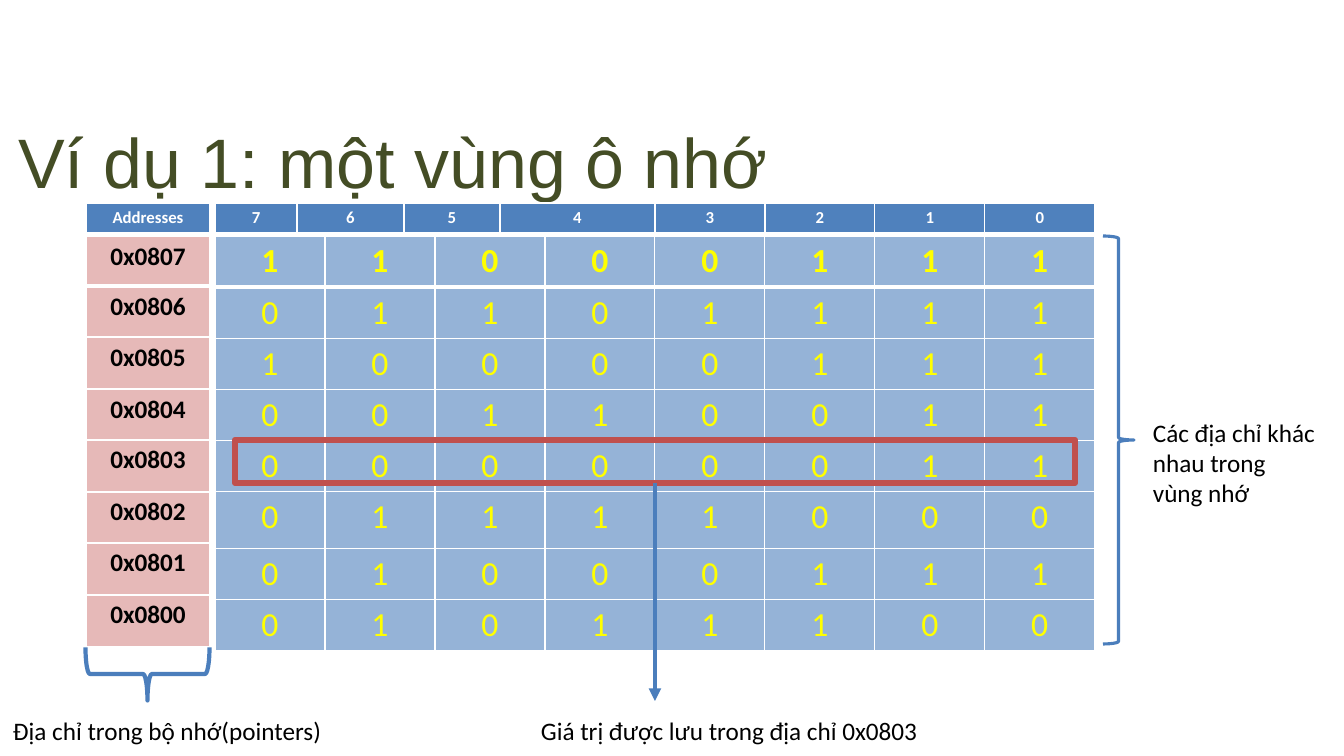
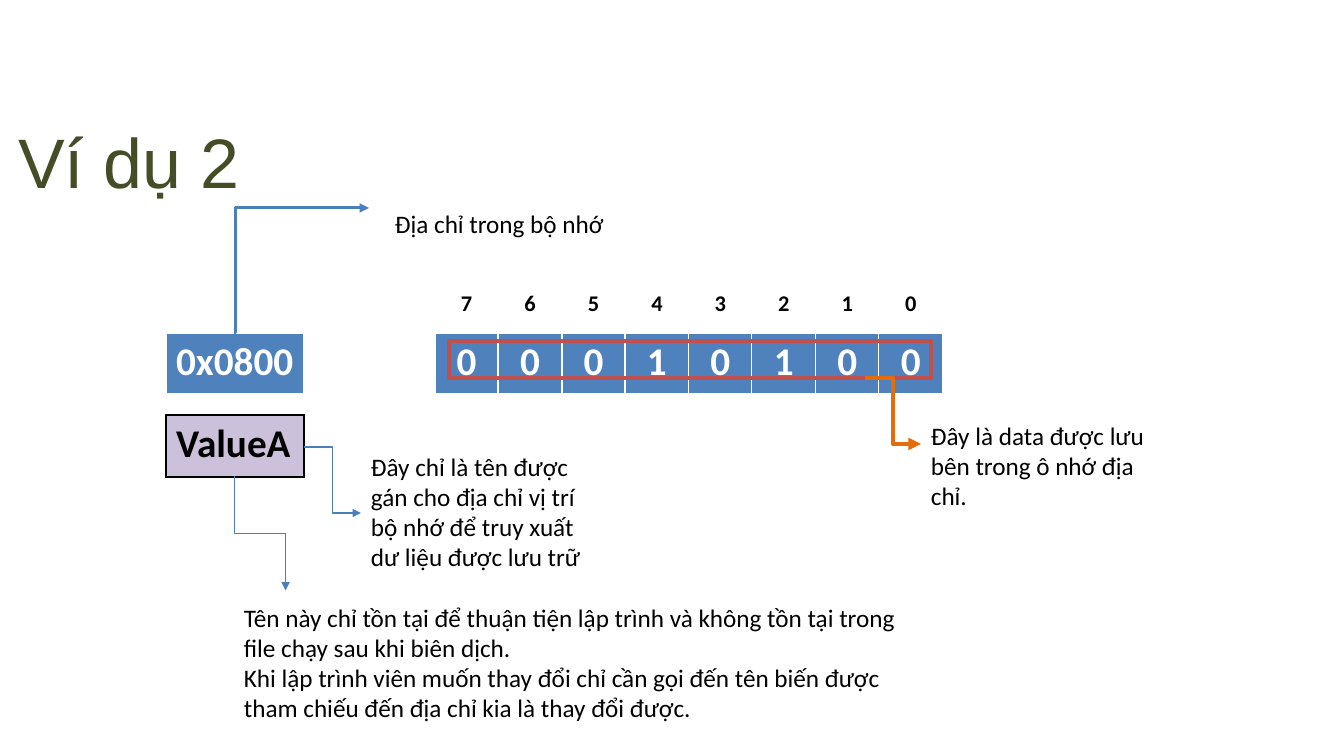
"""Build two slides on memory cells, their addresses and their values."""
from lxml.etree import SubElement
from pptx import Presentation
from pptx.dml.color import RGBColor
from pptx.enum.shapes import MSO_CONNECTOR, MSO_SHAPE
from pptx.enum.text import MSO_ANCHOR, MSO_AUTO_SIZE, PP_ALIGN
from pptx.oxml.ns import qn
from pptx.text.text import Font
from pptx.util import Emu, Pt

SLIDE_WIDTH, SLIDE_HEIGHT = 1344, 756
SCALE = 12192000 / SLIDE_WIDTH
BLUE, PALE_BLUE, LINE_BLUE = "4F81BD", "95B3D7", "4B7EBC"
PINK, LILAC, RED, ORANGE = "E6B9B8", "CCC1DA", "C0504D", "E46C0A"
WHITE, BLACK, YELLOW, OLIVE = "FFFFFF", "000000", "FFFF00", "444D25"
BODY_FONT, TITLE_FONT = "Calibri", "Arial"
LEFT, CENTER = PP_ALIGN.LEFT, PP_ALIGN.CENTER


def px(*lengths):
    return [Emu(round(length * SCALE)) for length in lengths]


def set_font(font, name, size, color, bold=False):
    font.name, font.size, font.bold = name, Pt(size), bold
    font.color.rgb = RGBColor.from_string(color)


deck = Presentation()
deck.slide_width, deck.slide_height = px(SLIDE_WIDTH, SLIDE_HEIGHT)
layout = deck.slide_layouts.get_by_name("Title Only")

title = layout.placeholders[0]
title.left, title.top, title.width, title.height = px(18, 116, 1326, 87)
frame = title.text_frame
frame.margin_left = frame.margin_right = frame.margin_top = frame.margin_bottom = 0
frame.vertical_anchor = MSO_ANCHOR.BOTTOM
frame.auto_size = MSO_AUTO_SIZE.NONE
title_style = deck.slide_master.element.find(f"{qn('p:txStyles')}/{qn('p:titleStyle')}/{qn('a:lvl1pPr')}")
title_style.set("algn", "l")
set_font(Font(title_style.find(qn("a:defRPr"))), TITLE_FONT, 50, OLIVE)

pages = []
for heading in ["Ví dụ 1: một vùng ô nhớ", "Ví dụ 2"]:
    page = deck.slides.add_slide(layout)
    page.shapes.title.text = heading
    pages.append(page)
memory_page, variable_page = pages

memory = ["11000111", "01101111", "10000111", "00110011",
          "00000011", "01111000", "01000111", "01011100"]
addresses = [[f"0x{0x0807 - step:04X}"] for step in range(len(memory))]
bit_numbers = ["76543210"]
bit_widths = [63, 64] * 4

tables = [
    (memory_page, 215, 236, [110] * 8, [51, 50, 51, 50, 51, 57, 51, 50],
     memory, PALE_BLUE, YELLOW, 24, False, CENTER, WHITE),
    (memory_page, 86, 236, [124], [50] + [51, 52] * 3 + [52],
     addresses, PINK, BLACK, 18, True, CENTER, WHITE),
    (memory_page, 215, 203, [82, 107, 96, 155] + [110] * 4, [30],
     bit_numbers, BLUE, WHITE, 12, True, CENTER, WHITE),
    (memory_page, 86, 203, [124], [30],
     [["Addresses"]], BLUE, WHITE, 12, True, CENTER, WHITE),
    (variable_page, 435, 285, bit_widths, [37],
     bit_numbers, WHITE, BLACK, 16, True, CENTER, WHITE),
    (variable_page, 435, 333, bit_widths, [62],
     ["00010100"], BLUE, WHITE, 28, True, CENTER, WHITE),
    (variable_page, 166, 333, [138], [62],
     [["0x0800"]], BLUE, WHITE, 28, True, LEFT, WHITE),
    (variable_page, 166, 415, [138], [62],
     [["ValueA"]], LILAC, BLACK, 28, True, LEFT, BLACK),
]
for page, left, top, widths, heights, rows, fill, color, size, bold, align, border in tables:
    table = page.shapes.add_table(len(heights), len(widths),
                                  *px(left, top, sum(widths), sum(heights))).table
    table.first_row = table.horz_banding = False
    for column, width in zip(table.columns, px(*widths)):
        column.width = width
    for row, height in zip(table.rows, px(*heights)):
        row.height = height
    for row_index, row in enumerate(rows):
        for column_index, text in enumerate(row):
            cell = table.cell(row_index, column_index)
            para = cell.text_frame.paragraphs[0]
            para.text, para.alignment = text, align
            set_font(para.font, BODY_FONT, size, color, bold or row_index == 0)
            properties = cell._tc.get_or_add_tcPr()
            for side in "LRTB":
                heavy = border == WHITE and (row_index, side) in [(0, "B"), (1, "T")]
                edge = SubElement(properties, qn(f"a:ln{side}"), w=str(Pt(3 if heavy else 1)))
                SubElement(SubElement(edge, qn("a:solidFill")), qn("a:srgbClr"), val=border)
            cell.fill.solid()
            cell.fill.fore_color.rgb = RGBColor.from_string(fill)

outlines = [
    (memory_page, MSO_SHAPE.LEFT_BRACE, (121, 612, 53, 124), 270, LINE_BLUE, 3),
    (memory_page, MSO_SHAPE.RECTANGLE, (235, 440, 840, 43), 0, RED, 4.5),
    (memory_page, MSO_SHAPE.RIGHT_BRACE, (1103, 236, 31, 408), 0, LINE_BLUE, 2.25),
    (variable_page, MSO_SHAPE.RECTANGLE, (449, 341, 482, 37), 0, RED, 3),
]
for page, kind, place, rotation, color, weight in outlines:
    outline = page.shapes.add_shape(kind, *px(*place))
    outline.rotation = rotation
    outline.shadow.inherit = False
    outline.fill.background()
    outline.line.color.rgb = RGBColor.from_string(color)
    outline.line.width = Pt(weight)

STRAIGHT, ELBOW = MSO_CONNECTOR.STRAIGHT, MSO_CONNECTOR.ELBOW
arrows = [
    (memory_page, STRAIGHT, (655, 483, 655, 701), 0, None, LINE_BLUE, 3),
    (variable_page, ELBOW, (234, 333, 369, 208), 0, 1400, LINE_BLUE, 2.25),
    (variable_page, ELBOW, (304, 447, 361, 513), 0, 50000, LINE_BLUE, 0.75),
    (variable_page, ELBOW, (317, 508, 203, 559), 270, 50000, LINE_BLUE, 0.75),
    (variable_page, ELBOW, (865, 378, 921, 444), 0, 50000, ORANGE, 3),
]
for page, kind, ends, rotation, bend, color, weight in arrows:
    arrow = page.shapes.add_connector(kind, *px(*ends))
    arrow.line.color.rgb = RGBColor.from_string(color)
    arrow.line.width = Pt(weight)
    properties = arrow.element.spPr
    SubElement(properties.find(qn("a:ln")), qn("a:tailEnd"), type="triangle")
    SubElement(properties, qn("a:effectLst"))
    if rotation:
        properties.find(qn("a:xfrm")).set("rot", str(rotation * 60000))
    if bend:
        guides = properties.find(f"{qn('a:prstGeom')}/{qn('a:avLst')}")
        SubElement(guides, qn("a:gd"), name="adj1", fmla=f"val {bend}")

labels = [
    (memory_page, (3, 710, 340, 40), ["Địa chỉ trong bộ nhớ(pointers)"]),
    (memory_page, (531, 710, 410, 40), ["Giá trị được lưu trong địa chỉ 0x0803"]),
    (memory_page, (1143, 412, 183, 102), ["Các địa chỉ khác nhau trong vùng nhớ"]),
    (variable_page, (361, 446, 250, 132),
     ["Đây chỉ là tên được gán cho địa chỉ vị trí bộ nhớ để truy xuất dư liệu được lưu trữ"]),
    (variable_page, (385, 203, 240, 40), ["Địa chỉ trong bộ nhớ"]),
    (variable_page, (234, 597, 699, 132),
     ["Tên này chỉ tồn tại để thuận tiện lập trình và không tồn tại trong file chạy sau khi biên dịch.",
      "Khi lập trình viên muốn thay đổi chỉ cần gọi đến tên biến được tham chiếu đến địa chỉ kia "
      "là thay đổi được."]),
    (variable_page, (921, 415, 250, 102), ["Đây là data được lưu bên trong ô nhớ địa chỉ."]),
]
for page, place, lines in labels:
    box = page.shapes.add_textbox(*px(*place))
    box.text_frame.word_wrap = True
    box.text_frame.text = "\n".join(lines)
    for para in box.text_frame.paragraphs:
        set_font(para.font, BODY_FONT, 18, BLACK)

deck.save("out.pptx")
